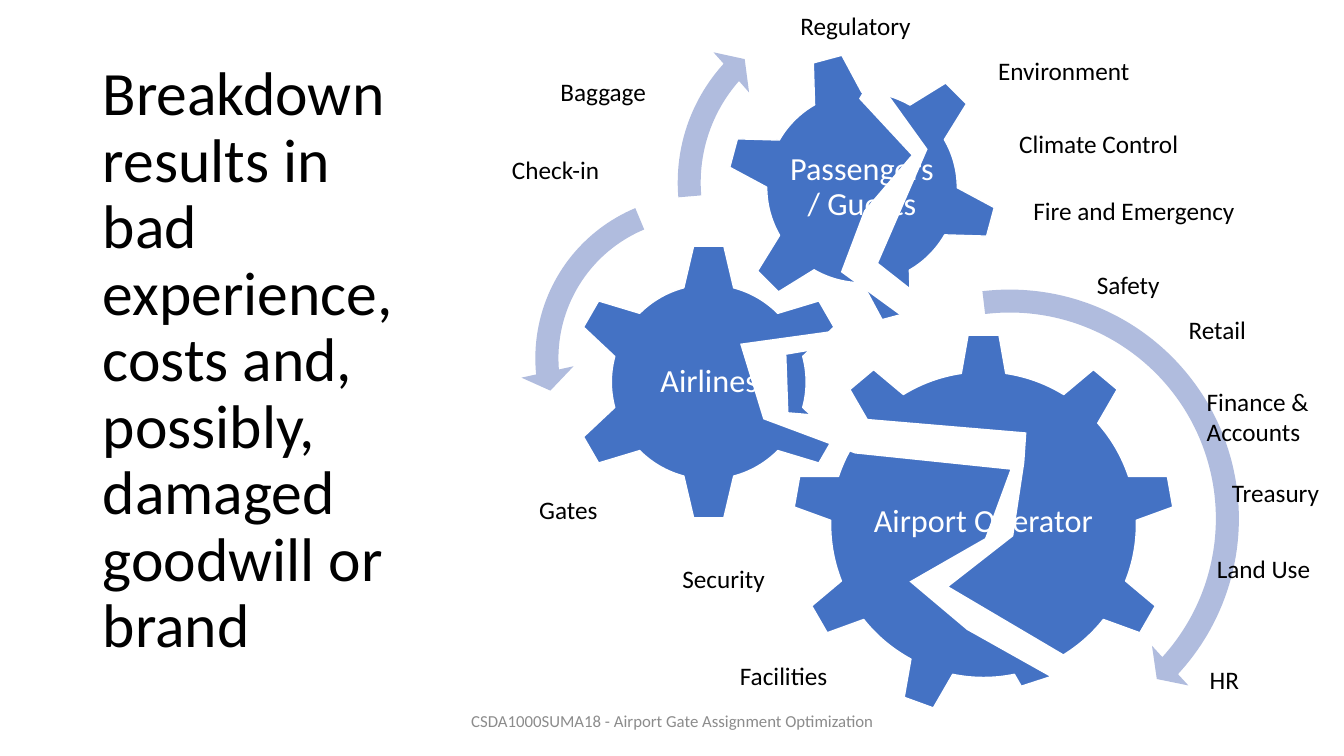
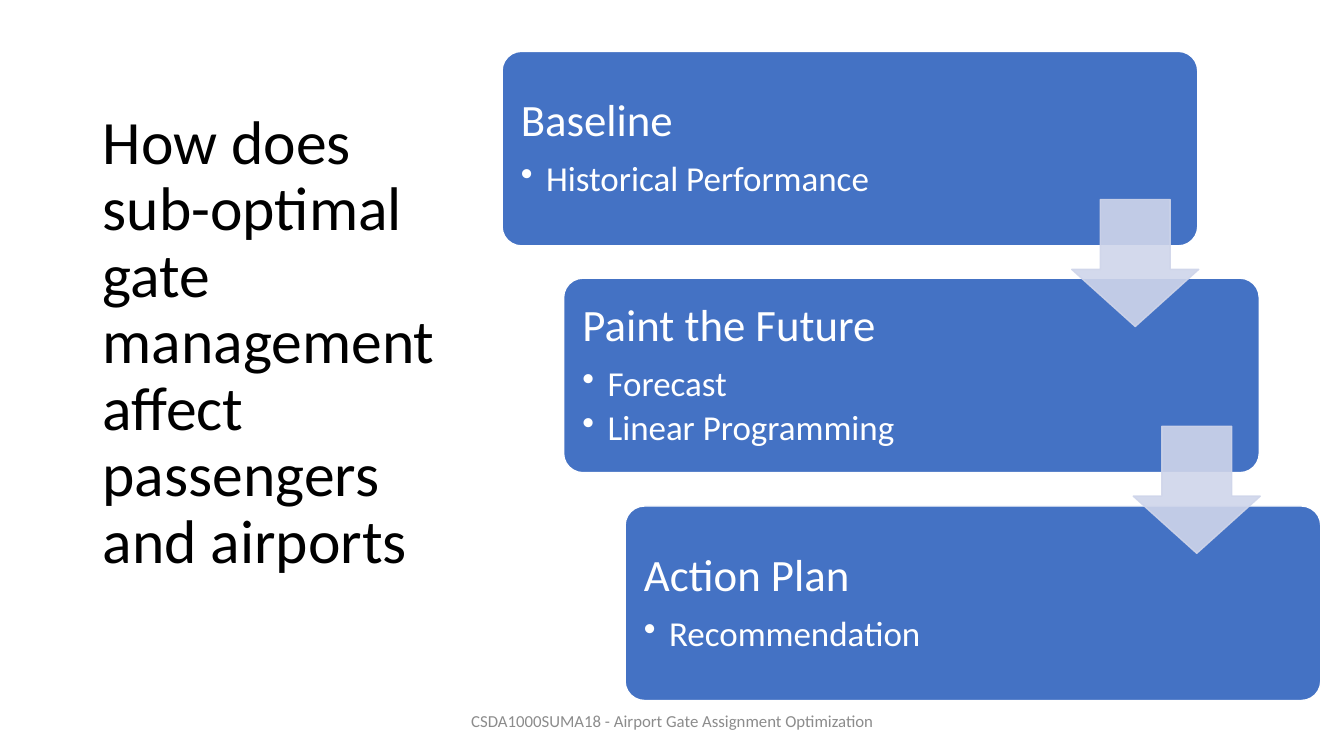
from dataclasses import dataclass
from typing import Any, NamedTuple

from lxml import etree
from pptx import Presentation
from pptx import util as u
from pptx.dml.color import RGBColor
from pptx.enum import shapes, text
from pptx.oxml.ns import qn

PX = 9144  # 100 px to the inch
FONT = "Calibri"
BLACK = RGBColor(0x00, 0x00, 0x00)
WHITE = RGBColor(0xFF, 0xFF, 0xFF)
GREY = RGBColor(0x8C, 0x8C, 0x8C)
BLUE = RGBColor(0x44, 0x72, 0xC4)
SWEEP_BLUE = RGBColor(0xB0, 0xBC, 0xDE)
PALE_BLUE = RGBColor(0xCF, 0xD5, 0xEA)

Kind = shapes.MSO_SHAPE
MIDDLE = {"vertical_anchor": text.MSO_ANCHOR.MIDDLE, "word_wrap": True}
CENTRED = {"alignment": text.PP_ALIGN.CENTER}
TIGHT = {"line_spacing": 0.9}
MARGINS = ("margin_left", "margin_top", "margin_right", "margin_bottom")

FOOTER = "CSDA1000SUMA18 - Airport Gate Assignment Optimization"


class Area(NamedTuple):
    left: int
    top: int
    width: int
    height: int

    def emu(self) -> list[int]:
        return [length * PX for length in self]


@dataclass(frozen=True)
class Gear:
    name: str
    kind: Kind
    area: Area
    name_area: Area
    rotation: int = 0


@dataclass(frozen=True)
class Sweep:
    kind: Kind
    area: Area
    adjustments: tuple[float, ...]


@dataclass(frozen=True)
class Label:
    words: str
    left: int
    top: int
    width: int = 147
    height: int = 40
    wrap: bool = False


@dataclass(frozen=True)
class Card:
    heading: str
    points: tuple[str, ...]


GEARS = (
    Gear("Airport Operator", Kind.GEAR_9, Area(786, 331, 379, 379), Area(862, 420, 227, 195)),
    Gear("Airlines", Kind.GEAR_6, Area(565, 241, 276, 276), Area(635, 311, 137, 136)),
    Gear("Passengers / Guests", Kind.GEAR_6, Area(720, 51, 270, 270),
         Area(779, 110, 152, 152), 345),
)
SWEEPS = (
    Sweep(Kind.CIRCULAR_ARROW, Area(759, 272, 485, 485), (0.047, 2.99, 25.509, 157.884, 0.055)),
    Sweep(Kind.LEFT_CIRCULAR_ARROW, Area(516, 179, 353, 353),
          (0.065, 4.3, 104.891, 148.378, 0.075)),
    Sweep(Kind.CIRCULAR_ARROW, Area(657, -9, 380, 380), (0.06, 3.941, 133.138, 105.082, 0.07)),
)
CRACK = (
    (893, 25), (852, 98), (904, 154), (857, 209), (834, 270), (900, 318), (734, 341),
    (757, 416), (848, 450), (1002, 466), (977, 534), (902, 577), (959, 625), (1041, 671),
    (964, 696), (1009, 721), (1102, 677), (941, 582), (1005, 532), (1016, 459), (1018, 429),
    (782, 409), (780, 352), (950, 323), (871, 261), (920, 148), (879, 91), (916, 29),
)
LABELS = (
    Label("Baggage", 546, 71, 122),
    Label("Check-in", 498, 148, 127),
    Label("Gates", 525, 485, 87),
    Label("Security", 667, 554, 116),
    Label("Regulatory", 784, 5, 148),
    Label("Environment", 980, 50, 168),
    Label("Climate Control", 1001, 122, 205),
    Label("Fire and Emergency", 1015, 189, 255),
    Label("Safety", 1078, 262, 91),
    Label("Retail", 1169, 307, 86),
    Label("Finance & Accounts", 1187, 378, height=71, wrap=True),
    Label("Treasury", 1212, 469, wrap=True),
    Label("Land Use", 1197, 544, wrap=True),
    Label("Facilities", 724, 650, wrap=True),
    Label("HR", 1190, 654, wrap=True),
)
CARDS = (
    Card("Baseline", ("Historical Performance",)),
    Card("Paint the Future", ("Forecast", "Linear Programming")),
    Card("Action Plan", ("Recommendation",)),
)


def set_values(target: Any, values: dict[str, Any]) -> None:
    for name, value in values.items():
        setattr(target, name, value)


def write(para, words: str, size: int, color: RGBColor, values: dict[str, Any]) -> None:
    set_values(para, values)
    span = para.add_run()
    span.text = words
    set_values(span.font, {"name": FONT, "size": u.Pt(size)})
    span.font.color.rgb = color


def add_text(page, area: Area, words: str, size: int, color: RGBColor,
             frame_values: dict[str, Any], para_values: dict[str, Any]) -> None:
    frame = page.shapes.add_textbox(*area.emu()).text_frame
    set_values(frame, frame_values)
    write(frame.paragraphs[0], words, size, color, para_values)


def paint(shape, fill: RGBColor, line: RGBColor | None = None) -> None:
    shape.shadow.inherit = False
    shape.fill.solid()
    shape.fill.fore_color.rgb = fill
    if line is None:
        shape.line.fill.background()
    else:
        shape.line.color.rgb = line
        shape.line.width = u.Pt(1)


def add_shape(page, kind: Kind, area: Area, fill: RGBColor, line: RGBColor | None = None,
              adjustments: tuple[float, ...] = ()):
    shape = page.shapes.add_shape(kind, *area.emu())
    paint(shape, fill, line)
    for index, value in enumerate(adjustments):
        shape.adjustments[index] = value
    return shape


def set_opacity(shape, percent: int) -> None:
    for color in shape.element.spPr.iter(qn("a:srgbClr")):
        etree.SubElement(color, qn("a:alpha"), val=str(percent * 1000))


def add_bullet(para) -> None:
    properties = para._p.get_or_add_pPr()
    indent = 25 * PX
    properties.set("marL", str(indent))
    properties.set("indent", str(-indent))
    etree.SubElement(properties, qn("a:buChar"), char="•")


def add_page(deck, title: str, title_area: Area):
    """Add a blank page with the shared title style and footer."""
    page = deck.slides.add_slide(deck.slide_layouts[6])
    add_text(page, title_area, title, 44, BLACK, MIDDLE, TIGHT)
    add_text(page, Area(442, 695, 450, 40), FOOTER, 12, GREY, MIDDLE, CENTRED)
    return page


def add_gear(page, gear: Gear) -> None:
    shape = add_shape(page, gear.kind, gear.area, BLUE, WHITE)
    shape.rotation = gear.rotation
    frame_values = MIDDLE | dict.fromkeys(MARGINS, 3 * PX)
    add_text(page, gear.name_area, gear.name, 23, WHITE, frame_values, CENTRED | TIGHT)


def add_crack(page) -> None:
    builder = page.shapes.build_freeform(*CRACK[0], scale=PX)
    builder.add_line_segments(CRACK[1:], close=True)
    paint(builder.convert_to_shape(), WHITE)


def add_label(page, label: Label) -> None:
    area = Area(label.left, label.top, label.width, label.height)
    values = {"word_wrap": label.wrap, "auto_size": text.MSO_AUTO_SIZE.SHAPE_TO_FIT_TEXT}
    add_text(page, area, label.words, 18, BLACK, values, {})


def add_card(page, card: Card, area: Area) -> None:
    box = add_shape(page, Kind.ROUNDED_RECTANGLE, area, BLUE, WHITE, (0.1,))
    frame = box.text_frame
    set_values(frame, MIDDLE | dict.fromkeys(MARGINS, 13 * PX))
    style = TIGHT | {"alignment": text.PP_ALIGN.LEFT}
    write(frame.paragraphs[0], card.heading, 32, WHITE, style | {"space_after": u.Pt(11)})
    for point in card.points:
        para = frame.add_paragraph()
        write(para, point, 25, WHITE, style | {"space_after": u.Pt(4), "level": 1})
        add_bullet(para)


def build_breakdown(deck) -> None:
    title = "Breakdown results in bad experience, costs and, possibly, damaged goodwill or brand"
    page = add_page(deck, title, Area(92, 44, 352, 630))
    for gear in GEARS:
        add_gear(page, gear)
    for sweep in SWEEPS:
        add_shape(page, sweep.kind, sweep.area, SWEEP_BLUE, adjustments=sweep.adjustments)
    add_crack(page)
    for label in LABELS:
        add_label(page, label)


def build_steps(deck) -> None:
    title = "How does sub-optimal gate management affect passengers and airports"
    page = add_page(deck, title, Area(92, 40, 350, 602))
    areas = [Area(498 + 61 * step, 51 + 451 * step // 2, 690, 193) for step in range(len(CARDS))]
    for card, area in zip(CARDS, areas):
        add_card(page, card, area)
    for area in areas[:-1]:
        arrow_area = Area(area.left + 565, area.top + 147, 126, 126)
        arrow = add_shape(page, Kind.DOWN_ARROW, arrow_area, PALE_BLUE, PALE_BLUE, (0.55, 0.45))
        set_opacity(arrow, 90)


def main() -> None:
    deck = Presentation()
    set_values(deck, {"slide_width": 1333 * PX, "slide_height": 750 * PX})
    build_breakdown(deck)
    build_steps(deck)
    deck.save("out.pptx")


if __name__ == "__main__":
    main()
